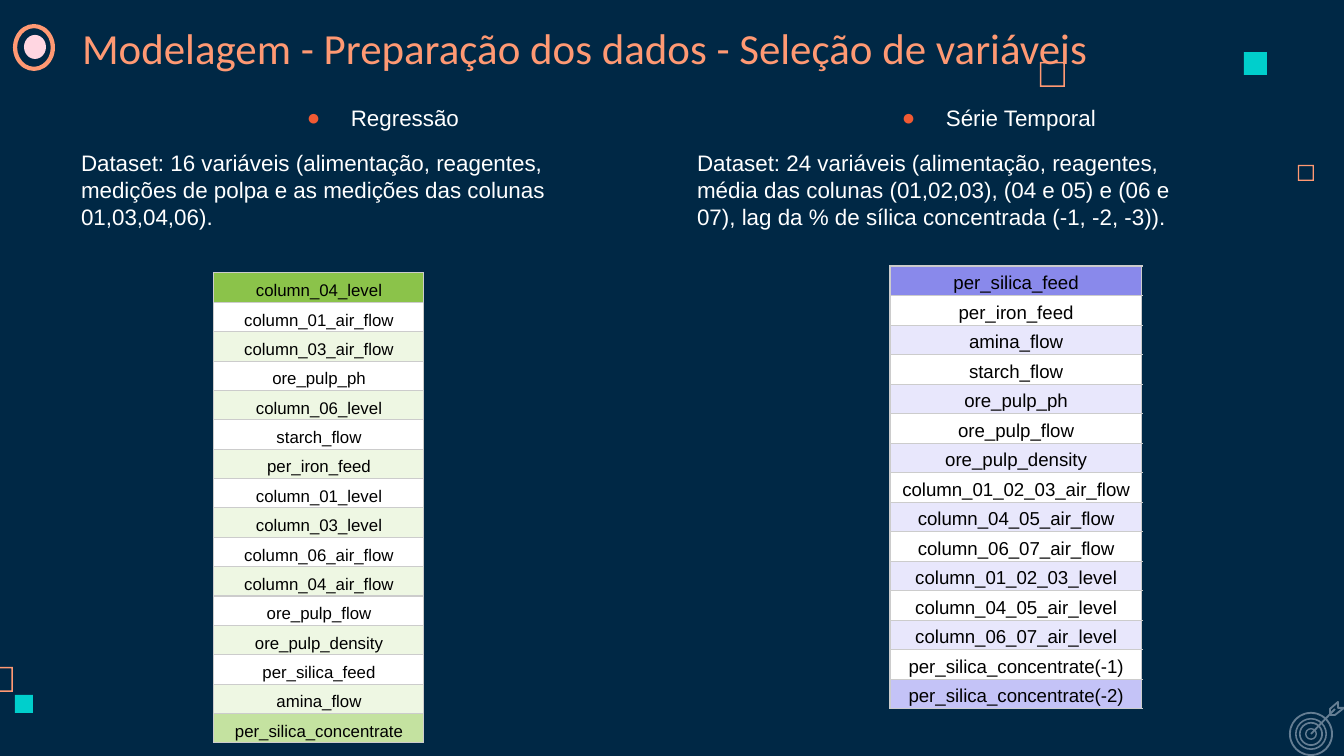
from lxml.etree import SubElement
from pptx import Presentation
from pptx.dml.color import RGBColor
from pptx.enum.shapes import MSO_CONNECTOR as CONN, MSO_SHAPE as SHAPE
from pptx.enum.text import MSO_ANCHOR as ANCHOR, MSO_AUTO_SIZE as AUTO, PP_ALIGN as ALIGN
from pptx.oxml.ns import qn
from pptx.util import Emu, Pt

SCALE = 914400 / 134.4
SALMON, TEAL, PINK, SLATE, WHITE = "FF9973", "00CFCC", "FFD6E1", "657E93", "FFFFFF"

REGRESSION = """column_04_level column_01_air_flow column_03_air_flow ore_pulp_ph
column_06_level starch_flow per_iron_feed column_01_level column_03_level
column_06_air_flow column_04_air_flow ore_pulp_flow ore_pulp_density
per_silica_feed amina_flow per_silica_concentrate""".split()
SERIES = """per_silica_feed per_iron_feed amina_flow starch_flow ore_pulp_ph
ore_pulp_flow ore_pulp_density column_01_02_03_air_flow column_04_05_air_flow
column_06_07_air_flow column_01_02_03_level column_04_05_air_level
column_06_07_air_level per_silica_concentrate(-1) per_silica_concentrate(-2)""".split()


def px(n):
    return Emu(round(n * SCALE))


def rgb(value):
    return RGBColor.from_string(value)


def style(p, font, size, color):
    for r in p.runs:
        r.font.name = font
        r.font.size = Pt(size)
        r.font.color.rgb = rgb(color)


def place(ph, box):
    ph.left, ph.top, ph.width, ph.height = map(px, box)
    tf = ph.text_frame
    tf.word_wrap = True
    tf.auto_size = AUTO.NONE
    tf.margin_left = tf.margin_right = tf.margin_top = tf.margin_bottom = px(13)
    return tf


def add_solid(shapes, kind, box, color, adj=None):
    sp = shapes.add_shape(kind, *map(px, box))
    sp.shadow.inherit = False
    sp.fill.solid()
    sp.fill.fore_color.rgb = rgb(color)
    sp.line.fill.background()
    if adj is not None:
        sp.adjustments[0] = adj


def add_decor(s):
    for x, y, size, adj in ((1298, 165, 16, 0.08), (1040, 62, 25, 0.06), (-12, 667, 25, 0.06)):
        add_solid(s.shapes, SHAPE.FRAME, (x, y, size, size), SALMON, adj)
    for x, y, size in ((1244, 52, 23), (15, 695, 18)):
        add_solid(s.shapes, SHAPE.RECTANGLE, (x, y, size, size), TEAL)


def add_header(s, box, text):
    x, y, w, h = box
    icon = s.shapes.add_group_shape()
    add_solid(icon.shapes, SHAPE.OVAL, (x + 11, y + 19, 22, 24), PINK)
    add_solid(icon.shapes, SHAPE.DONUT, (x, y + 8, 42, 47), SALMON, 0.1)
    tf = place(s.shapes.title, (x + 56, y, w - 56, h))
    tf.vertical_anchor = ANCHOR.MIDDLE
    tf.text = text
    p = tf.paragraphs[0]
    p.alignment = ALIGN.LEFT
    style(p, "Calibri", 23, SALMON)


def set_bullet(p, char=None, margin=0, hang=0):
    pPr = p._p.get_or_add_pPr()
    pPr.set("marL", str(px(margin)))
    pPr.set("indent", str(-px(hang)))
    if char is None:
        SubElement(pPr, qn("a:buNone"))
        return
    color = SubElement(pPr, qn("a:buClr"))
    SubElement(color, qn("a:srgbClr"), val="F15A33")
    SubElement(pPr, qn("a:buFont"), typeface="Arial")
    SubElement(pPr, qn("a:buChar"), char=char)


def add_borders(cell):
    tcPr = cell._tc.get_or_add_tcPr()
    for i, side in enumerate(("lnL", "lnR", "lnT", "lnB")):
        ln = tcPr.makeelement(qn(f"a:{side}"), {"w": str(Pt(0.62))})
        fill = SubElement(ln, qn("a:solidFill"))
        SubElement(fill, qn("a:srgbClr"), val="CCCCCC")
        tcPr.insert(i, ln)


def add_variables(s, box, names, size, colors):
    first, band, last = colors
    x, y, w, h = map(px, box)
    table = s.shapes.add_table(len(names), 1, x, y, w, h).table
    table.first_row = table.horz_banding = False
    for i, name in enumerate(names):
        table.rows[i].height = Emu(h // len(names))
        cell = table.cell(i, 0)
        cell.text = name
        cell.vertical_anchor = ANCHOR.BOTTOM
        cell.margin_left = cell.margin_right = px(4)
        cell.margin_top = cell.margin_bottom = px(2)
        cell.fill.solid()
        color = WHITE if i % 2 else band
        if i == 0:
            color = first
        elif i == len(names) - 1:
            color = last
        cell.fill.fore_color.rgb = rgb(color)
        p = cell.text_frame.paragraphs[0]
        p.alignment = ALIGN.CENTER
        p.line_spacing = 1.15
        style(p, "Arial", size, "000000")
        add_borders(cell)


def add_column(s, ph, box, heading, text, table_box, names, size, colors):
    x, y, w, h = box
    tf = place(ph, box)
    tf.vertical_anchor = ANCHOR.TOP
    tf.text = heading
    p = tf.paragraphs[0]
    p.alignment = ALIGN.CENTER
    p.space_before = Pt(0)
    set_bullet(p, "●", 134, 44)
    style(p, "Arial", 12, WHITE)
    p = tf.add_paragraph()
    p.text = text
    p.alignment = ALIGN.LEFT
    p.space_before = Pt(10)
    set_bullet(p)
    style(p, "Arial", 12, WHITE)
    dx, dy, tw, th = table_box
    add_variables(s, (x + dx, y + dy, tw, th), names, size, colors)


def add_target(s, box):
    x, y, w, h = box
    cx, cy = x + 22, y + h - 22
    for d, adj in ((44, 0.04), (32, 0.05), (24, 0.07), (12, 0.12)):
        add_solid(s.shapes, SHAPE.DONUT, (cx - d / 2, cy - d / 2, d, d), SLATE, adj)
    shaft = s.shapes.add_connector(CONN.STRAIGHT, px(cx), px(cy), px(x + w - 9), px(y + 8))
    SubElement(shaft._element.spPr, qn("a:effectLst"))
    builder = s.shapes.build_freeform(x + 41, y + 14, SCALE)
    points = ((41, 8), (49, 1), (49, 7), (55, 7), (46, 14))
    builder.add_line_segments([(x + a, y + b) for a, b in points], close=True)
    fletching = builder.convert_to_shape()
    fletching.shadow.inherit = False
    fletching.fill.background()
    for sp in (shaft, fletching):
        sp.line.color.rgb = rgb(SLATE)
        sp.line.width = Pt(1)


def main():
    prs = Presentation()
    prs.slide_width, prs.slide_height = px(1344), px(756)
    s = prs.slides.add_slide(prs.slide_layouts[3])
    s.background.fill.solid()
    s.background.fill.fore_color.rgb = rgb("002845")
    add_decor(s)
    add_header(s, (13, 16, 1177, 63), "Modelagem - Preparação dos dados - Seleção de variáveis")
    add_column(
        s, s.placeholders[1], (68, 91, 540, 636), "Regressão",
        "Dataset: 16 variáveis (alimentação, reagentes, medições de polpa "
        "e as medições das colunas 01,03,04,06).",
        (146, 182, 210, 470), REGRESSION, 9, ("8BC34A", "EEF7E3", "C4E2A0"))
    add_column(
        s, s.placeholders[2], (684, 91, 540, 636), "Série Temporal",
        "Dataset: 24 variáveis (alimentação, reagentes, média das colunas (01,02,03), "
        "(04 e 05) e (06 e 07), lag da % de sílica concentrada (-1, -2, -3)).",
        (206, 175, 252, 443), SERIES, 10, ("8989EB", "E8E7FC", "C4C3F7"))
    add_target(s, (1289, 701, 55, 55))
    prs.save("out.pptx")


if __name__ == "__main__":
    main()
